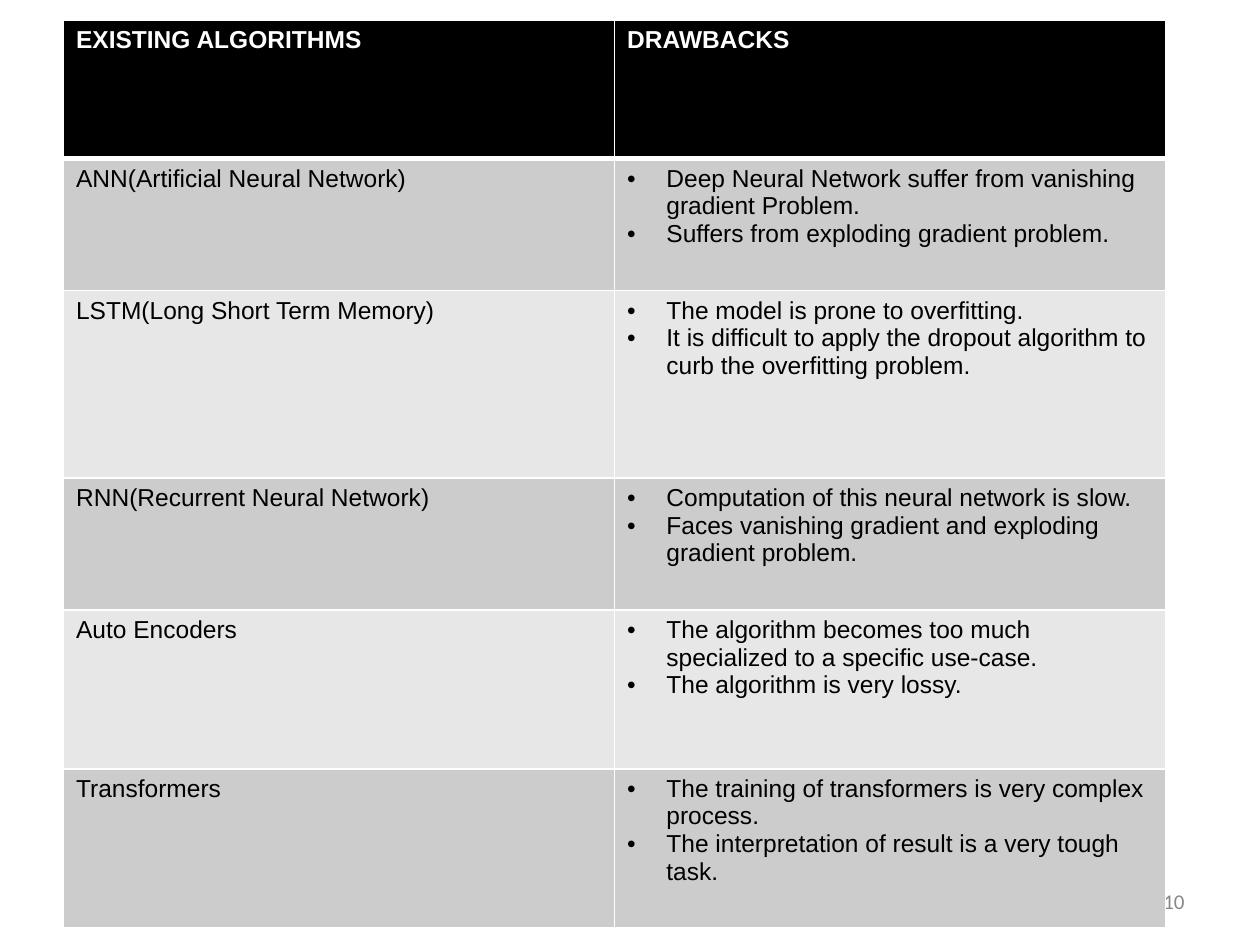
"""Build a slide with a table of existing algorithms and their drawbacks."""
import pptx
import pptx.dml.color
import pptx.enum.text
import pptx.oxml
import pptx.oxml.ns
import pptx.util

Cm = pptx.util.Cm
HEADERS = ("EXISTING ALGORITHMS", "DRAWBACKS")
ALGORITHMS = (
    ("ANN(Artificial Neural Network)", 2.66, (
        "Deep Neural Network suffer from vanishing gradient Problem.",
        "Suffers from exploding gradient problem.")),
    ("LSTM(Long Short Term Memory)", 3.78, (
        "The model is prone to overfitting.",
        "It is difficult to apply the dropout algorithm to curb the overfitting problem.")),
    ("RNN(Recurrent Neural Network)", 2.66, (
        "Computation of this neural network is slow.",
        "Faces vanishing gradient and exploding gradient problem.")),
    ("Auto Encoders", 3.2, (
        "The algorithm becomes too much specialized to a specific use-case.",
        "The algorithm is very lossy.")),
    ("Transformers", 3.2, (
        "The training of transformers is very complex process.",
        "The interpretation of result is a very tough task.")),
)
HEADER_HEIGHT = 2.8
COLUMN_WIDTH = 11.11
BAND_FILLS = ("CCCCCC", "E7E7E7")


def color(hex_value):
    """Return the colour for a hex string."""
    return pptx.dml.color.RGBColor.from_string(hex_value)


def add_run(paragraph, text, size, font, hex_value, bold=False):
    """Append a formatted run to a paragraph."""
    run = paragraph.add_run()
    run.text = text
    run.font.size = pptx.util.Pt(size)
    run.font.name = font
    run.font.bold = bold
    run.font.color.rgb = color(hex_value)


def add_bullet(paragraph):
    """Give a paragraph a round bullet and a hanging indent."""
    properties = paragraph._p.get_or_add_pPr()
    indent = Cm(0.79)
    properties.set("marL", str(indent))
    properties.set("indent", str(-indent))
    namespace = pptx.oxml.ns.nsdecls("a")
    for xml in (
        f'<a:buClr {namespace}><a:srgbClr val="000000"/></a:buClr>',
        f'<a:buFont {namespace} typeface="Arial"/>',
        f'<a:buChar {namespace} char="•"/>',
    ):
        properties.append(pptx.oxml.parse_xml(xml))


def set_borders(cell, top, bottom):
    """Draw white cell borders with the given top and bottom widths in points."""
    properties = cell._tc.get_or_add_tcPr()
    for side, width in (("L", 1), ("R", 1), ("T", top), ("B", bottom)):
        properties.append(pptx.oxml.parse_xml(
            f'<a:ln{side} {pptx.oxml.ns.nsdecls("a")} w="{pptx.util.Pt(width)}">'
            f'<a:solidFill><a:srgbClr val="FFFFFF"/></a:solidFill></a:ln{side}>'))


def fill_cell(cell, lines, fill, text_color="000000", header=False, bulleted=False):
    """Write lines into a cell and set its fill and borders."""
    set_borders(cell, 1, 3 if header else 1)
    cell.fill.solid()
    cell.fill.fore_color.rgb = color(fill)
    for index, line in enumerate(lines):
        frame = cell.text_frame
        paragraph = frame.add_paragraph() if index else frame.paragraphs[0]
        if bulleted:
            add_bullet(paragraph)
        add_run(paragraph, line, 14, "Arial", text_color, header)


def add_algorithm_table(slide):
    """Add the table of algorithms and drawbacks."""
    heights = [HEADER_HEIGHT] + [height for _, height, _ in ALGORITHMS]
    table = slide.shapes.add_table(
        len(heights), len(HEADERS), Cm(1.28), Cm(0.4),
        Cm(COLUMN_WIDTH * len(HEADERS)), Cm(sum(heights))).table
    for column in table.columns:
        column.width = Cm(COLUMN_WIDTH)
    for row, height in zip(table.rows, heights):
        row.height = Cm(height)
    for index, header in enumerate(HEADERS):
        fill_cell(table.cell(0, index), [header], "000000", "FFFFFF", header=True)
    for index, (name, _, drawbacks) in enumerate(ALGORITHMS):
        fill = BAND_FILLS[index % 2]
        fill_cell(table.cell(index + 1, 0), [name], fill)
        fill_cell(table.cell(index + 1, 1), drawbacks, fill, bulleted=True)


def add_page_number(slide, number):
    """Add the page number at the lower right."""
    frame = slide.shapes.add_textbox(Cm(18.2), Cm(17.66), Cm(5.93), Cm(1.01)).text_frame
    frame.word_wrap = True
    frame.vertical_anchor = pptx.enum.text.MSO_ANCHOR.MIDDLE
    paragraph = frame.paragraphs[0]
    paragraph.alignment = pptx.enum.text.PP_ALIGN.RIGHT
    add_run(paragraph, number, 12, "Calibri", "888888")


def main():
    """Build and save the presentation."""
    presentation = pptx.Presentation()
    presentation.slide_width = Cm(25.4)
    presentation.slide_height = Cm(19.05)
    slide = presentation.slides.add_slide(presentation.slide_layouts[6])
    add_page_number(slide, "10")
    add_algorithm_table(slide)
    presentation.save("out.pptx")


main()
